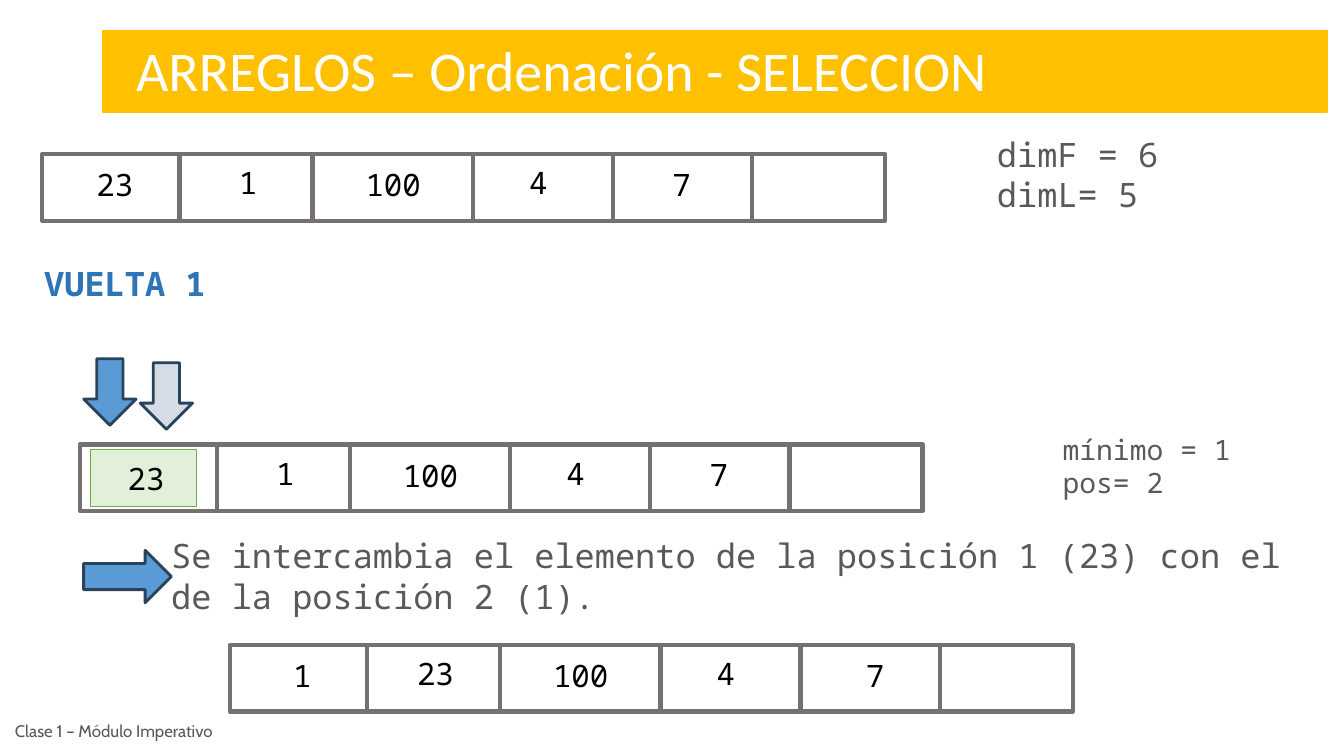
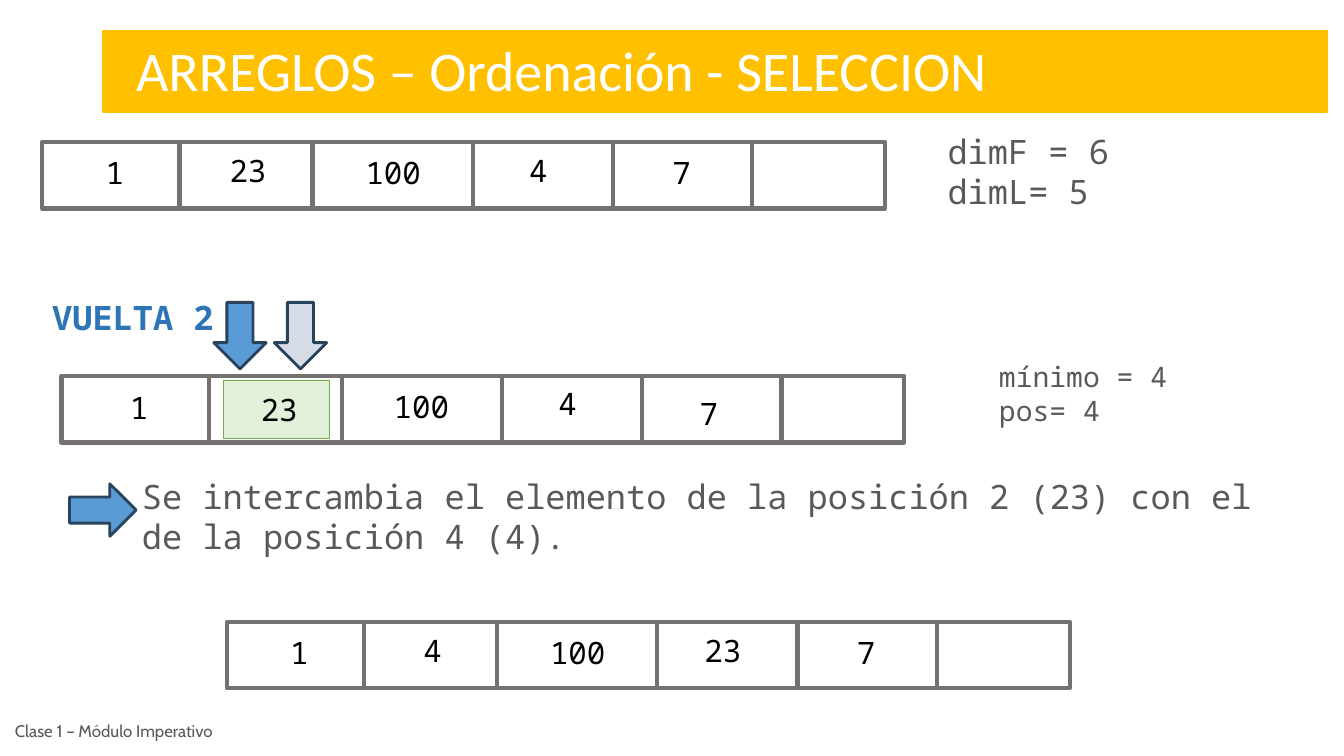
from dataclasses import dataclass
from lxml import etree
from pptx import Presentation
from pptx.dml.color import RGBColor
from pptx.enum.shapes import MSO_CONNECTOR, MSO_SHAPE
from pptx.enum.text import MSO_ANCHOR, MSO_AUTO_SIZE, PP_ALIGN
from pptx.oxml.ns import qn
from pptx.util import Inches, Pt

RECT, DOWN, RIGHT = MSO_SHAPE.RECTANGLE, MSO_SHAPE.DOWN_ARROW, MSO_SHAPE.RIGHT_ARROW
LINE = MSO_CONNECTOR.STRAIGHT
LEFT, MID = PP_ALIGN.LEFT, PP_ALIGN.CENTER
TOP, HALF = MSO_ANCHOR.TOP, MSO_ANCHOR.MIDDLE
FIXED = MSO_AUTO_SIZE.NONE


@dataclass(frozen=True)
class Theme:
    white: str = "FFFFFF"
    band: str = "FFC000"
    ink: str = "000000"
    gray: str = "595959"
    grid: str = "767171"
    round: str = "2E75B6"
    blue: str = "5B9BD5"
    pale: str = "D6DCE5"
    edge: str = "28445D"
    mark: str = "E2F0D9"
    rim: str = "70AD47"
    mono: str = "Noto Sans Mono"
    head: str = "Calibri"
    foot: str = "Cabin"
    title: int = 40
    body: int = 24
    cell: int = 22
    note: int = 20
    small: int = 12


T = Theme()

# Content: each array has its corner and values; nudge moves a value by (x, y)
TITLE = "ARREGLOS – Ordenación - SELECCION"
FOOT = "Clase 1 – Módulo Imperativo"
DIMS = ["dimF = 6", "dimL= 5"]
SLIDES = [
    dict(
        start=dict(at=(0.42, 1.53), vals=[23, 1, 100, 4, 7]),
        work=dict(at=(0.79, 4.41), vals=[23, 1, 100, 4, 7], mark=0.11,
                  nudge={0: (-0.06, 0.03), 4: (0, -0.01)}),
        end=dict(at=(2.28, 6.4), vals=[1, 23, 100, 4, 7], nudge={4: (0.06, 0)}),
        dims=(9.79, 1.28),
        round=("VUELTA 1", (0.34, 2.56)),
        least=(["mínimo = 1", "pos= 2"], (10.44, 4.24)),
        swap=("Se intercambia el elemento de la posición 1 (23) con el "
              "de la posición 2 (1).", (1.6, 5.26)),
        downs=[(0.83, 3.56), (1.39, 3.6)],
        side=(0.83, 5.46, 0.87),
    ),
    dict(
        start=dict(at=(0.42, 1.41), vals=[1, 23, 100, 4, 7]),
        work=dict(at=(0.61, 3.73), vals=[1, 23, 100, 4, 7], mark=1.61, shift=0.1,
                  nudge={0: (-0.05, 0.01), 1: (0.02, 0.05), 2: (-0.01, 0),
                         3: (0, -0.01), 4: (-0.02, 0.07)}),
        end=dict(at=(2.25, 6.17), vals=[1, 4, 100, 23, 7]),
        dims=(9.3, 1.25),
        round=("VUELTA 2", (0.42, 2.9)),
        least=(["mínimo = 4", "pos= 4"], (9.81, 3.52)),
        swap=("Se intercambia el elemento de la posición 2 (23) con el "
              "de la posición 4 (4).", (1.31, 4.67)),
        downs=[(2.12, 3), (2.72, 3)],
        side=(0.69, 4.8, 0.66),
    ),
]

# Array grid: widths of the first cells; the last takes the rest
WIDE, TALL = 8.36, 0.66
COLS = [1.36, 1.32, 1.59, 1.39, 1.38]
MIDS = [0.72, 2.04, 3.48, 4.92, 6.34]
DROPS = [0.07, 0.05, 0.07, 0.05, 0.07]
ARROW = 0.52


def rgb(code):
    return RGBColor.from_string(code)


def write(shape, lines, size, color, font=T.mono, bold=False, align=LEFT, anchor=TOP):
    frame = shape.text_frame
    frame.word_wrap = True
    frame.auto_size = FIXED
    frame.vertical_anchor = anchor
    frame.margin_left = frame.margin_right = Inches(0.1)
    frame.margin_top = frame.margin_bottom = Inches(0.05)
    for i, line in enumerate(lines):
        para = frame.add_paragraph() if i else frame.paragraphs[0]
        para.alignment = align
        run = para.add_run()
        run.text = line
        run.font.size, run.font.name, run.font.bold = Pt(size), font, bold
        run.font.color.rgb = rgb(color)


def text(slide, box, lines, size, color, **style):
    write(slide.shapes.add_textbox(*map(Inches, box)), lines, size, color, **style)


def draw(slide, kind, box, fill, line, width):
    shape = slide.shapes.add_shape(kind, *map(Inches, box))
    shape.shadow.inherit = False
    if fill:
        shape.fill.solid()
        shape.fill.fore_color.rgb = rgb(fill)
    else:
        shape.fill.background()
    shape.line.color.rgb = rgb(line)
    shape.line.width = Pt(width)


def array(slide, at, vals, mark=None, shift=0, nudge=None):
    x, y = at
    draw(slide, RECT, (x, y, WIDE, TALL), None, T.grid, 3)
    if mark is not None:
        draw(slide, RECT, (x + mark, y + 0.05, 1.05, 0.57), T.mark, T.rim, 0.75)
    x += shift
    # Dividers
    for i in range(len(COLS)):
        cut = Inches(x + sum(COLS[:i + 1]))
        bar = slide.shapes.add_connector(LINE, cut, Inches(y), cut, Inches(y + TALL))
        bar.line.color.rgb = rgb(T.grid)
        bar.line.width = Pt(3)
        etree.SubElement(bar.element.spPr, qn("a:effectLst"))
    # Values
    for i, (val, mid, drop) in enumerate(zip(vals, MIDS, DROPS)):
        dx, dy = (nudge or {}).get(i, (0, 0))
        text(slide, (x + mid + dx - 0.52, y + drop + dy, 1.04, 0.47),
             [str(val)], T.cell, T.ink, align=MID)


def frame(deck):
    """Add a slide with the shared title band and footer."""
    slide = deck.slides.add_slide(deck.slide_layouts[5])
    head = slide.shapes.title
    head.left, head.top, head.width, head.height = map(Inches, (1.02, 0.3, 12.14, 0.81))
    head.fill.solid()
    head.fill.fore_color.rgb = rgb(T.band)
    head.line.color.rgb = rgb(T.band)
    head.line.width = Pt(1)
    write(head, [TITLE], T.title, T.white, font=T.head)
    head.text_frame.margin_left = Inches(0.33)
    text(slide, (0.05, 7.05, 2.33, 0.4), [FOOT], T.small, T.gray,
         font=T.foot, anchor=HALF)
    return slide


def build(deck, data):
    slide = frame(deck)
    for part in ("start", "work", "end"):
        array(slide, **data[part])
    # Labels
    text(slide, (*data["dims"], 2.3, 0.91), DIMS, T.body, T.gray)
    label, at = data["round"]
    text(slide, (*at, 2.3, 0.5), [label], T.body, T.round, bold=True)
    lines, at = data["least"]
    text(slide, (*at, 2.3, 0.77), lines, T.note, T.gray)
    # Arrows
    for at, fill in zip(data["downs"], (T.blue, T.pale)):
        draw(slide, DOWN, (*at, ARROW, 0.66), fill, T.edge, 2)
    draw(slide, RIGHT, (*data["side"], ARROW), T.blue, T.edge, 2)
    # Swap sentence
    line, at = data["swap"]
    text(slide, (*at, 11.45, 0.91), [line], T.body, T.gray)


def main():
    deck = Presentation()
    deck.slide_width, deck.slide_height = Inches(13.33), Inches(7.5)
    for data in SLIDES:
        build(deck, data)
    deck.save("out.pptx")


if __name__ == "__main__":
    main()
